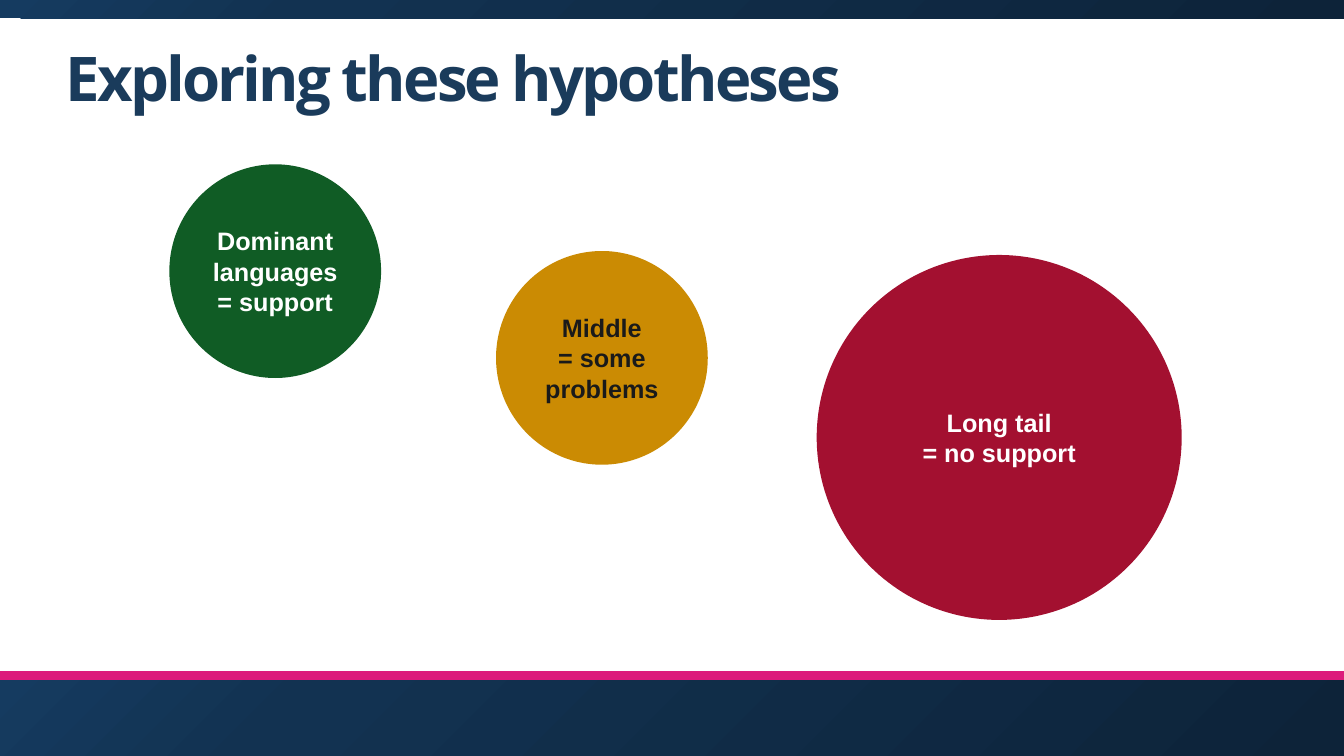
from copy import deepcopy
from dataclasses import dataclass

from lxml import etree
from pptx import Presentation
from pptx.dml.color import RGBColor
from pptx.enum.shapes import MSO_CONNECTOR, MSO_SHAPE
from pptx.enum.text import MSO_ANCHOR, MSO_AUTO_SIZE, PP_ALIGN
from pptx.oxml.ns import qn
from pptx.util import Inches, Pt

RECTANGLE, OVAL = MSO_SHAPE.RECTANGLE, MSO_SHAPE.OVAL
STRAIGHT = MSO_CONNECTOR.STRAIGHT
MIDDLE, BOTTOM = MSO_ANCHOR.MIDDLE, MSO_ANCHOR.BOTTOM
LEFT, CENTER = PP_ALIGN.LEFT, PP_ALIGN.CENTER
NO_AUTOFIT = MSO_AUTO_SIZE.NONE
TITLE_ONLY = 5
SLIDE_WIDTH, SLIDE_HEIGHT = 13.33, 7.5


@dataclass(frozen=True)
class Theme:
    white: str = "FFFFFF"
    ink: str = "1A1A1A"
    title: str = "1A3B5B"
    navy_dark: str = "0D2339"
    navy: str = "123251"
    navy_light: str = "153B60"
    pink: str = "DC1B7B"
    green: str = "105C25"
    amber: str = "CB8B03"
    red: str = "A31030"
    title_font: str = "Open Sans"
    body_font: str = "Arial"
    title_size: int = 44
    label_size: int = 18
    title_tracking: int = -2


THEME = Theme()
BAR_STOPS = [(0, THEME.navy_light), (0.23, THEME.navy), (1, THEME.navy_dark)]
BACKGROUND_STOPS = [(0, THEME.navy_dark), (0.5, THEME.navy), (1, THEME.navy_light)]


def color(value):
    return RGBColor.from_string(value)


def paint_gradient(fill, element, stops, angle):
    """Give the fill inside element three stops; angle runs counter-clockwise."""
    fill.gradient()
    fill.gradient_angle = angle
    stop_list = next(element.iter(qn("a:gsLst")))
    stop_list.insert(1, deepcopy(stop_list[0]))
    for stop, (position, value) in zip(fill.gradient_stops, stops):
        stop.position = position
        stop.color.rgb = color(value)


def add_plain_shape(slide, kind, left, top, width, height):
    shape = slide.shapes.add_shape(
        kind, Inches(left), Inches(top), Inches(width), Inches(height)
    )
    shape.shadow.inherit = False
    shape.line.fill.background()
    return shape


def add_panel(slide, top, height):
    panel = add_plain_shape(slide, RECTANGLE, 0, top, SLIDE_WIDTH, height)
    panel.fill.solid()
    panel.fill.fore_color.rgb = color(THEME.white)


def add_bar(slide, top, height):
    bar = add_plain_shape(slide, RECTANGLE, 0, top, SLIDE_WIDTH, height)
    paint_gradient(bar.fill, bar._element.spPr, BAR_STOPS, 315)


def add_rule(slide, top):
    rule = slide.shapes.add_connector(
        STRAIGHT, 0, Inches(top), Inches(SLIDE_WIDTH), Inches(top)
    )
    rule.line.color.rgb = color(THEME.pink)
    rule.line.width = Pt(6)
    etree.SubElement(rule._element.spPr, qn("a:effectLst"))


def style_run(run, font_name, size, value):
    run.font.name = font_name
    run.font.size = Pt(size)
    run.font.bold = True
    run.font.color.rgb = color(value)


def add_circle(slide, left, top, width, height, fill, text, text_color):
    circle = add_plain_shape(slide, OVAL, left, top, width, height)
    circle.fill.solid()
    circle.fill.fore_color.rgb = color(fill)
    frame = circle.text_frame
    frame.word_wrap = True
    frame.vertical_anchor = MIDDLE
    paragraph = frame.paragraphs[0]
    paragraph.text = text
    paragraph.alignment = CENTER
    for run in paragraph.runs:
        style_run(run, THEME.body_font, THEME.label_size, text_color)


def set_title(slide, text):
    title = slide.shapes.title
    title.left, title.top = Inches(0.55), Inches(0.23)
    title.width, title.height = Inches(12.09), Inches(0.96)
    frame = title.text_frame
    frame.text = text
    frame.word_wrap = True
    frame.auto_size = NO_AUTOFIT
    frame.vertical_anchor = BOTTOM
    paragraph = frame.paragraphs[0]
    paragraph.alignment = LEFT
    paragraph.line_spacing = 0.9
    run = paragraph.runs[0]
    style_run(run, THEME.title_font, THEME.title_size, THEME.title)
    run._r.get_or_add_rPr().set("spc", str(THEME.title_tracking * 100))
    # Appending lifts the title above the white panel.
    slide.shapes._spTree.append(title._element)


def main():
    presentation = Presentation()
    presentation.slide_width = Inches(SLIDE_WIDTH)
    presentation.slide_height = Inches(SLIDE_HEIGHT)
    slide = presentation.slides.add_slide(presentation.slide_layouts[TITLE_ONLY])
    paint_gradient(slide.background.fill, slide._element, BACKGROUND_STOPS, 135)

    add_panel(slide, 0.18, 6.54)
    add_bar(slide, 0, 0.18)
    add_bar(slide, 6.73, 0.77)
    add_rule(slide, 6.7)
    set_title(slide, "Exploring these hypotheses")

    circles = [
        (1.68, 1.63, 2.1, 2.12, THEME.green, "Dominant languages = support", THEME.white),
        (4.92, 2.49, 2.1, 2.12, THEME.amber, "Middle\v= some problems", THEME.ink),
        (8.1, 2.53, 3.62, 3.62, THEME.red, "Long tail\v= no support", THEME.white),
    ]
    for circle in circles:
        add_circle(slide, *circle)

    presentation.save("out.pptx")


if __name__ == "__main__":
    main()
